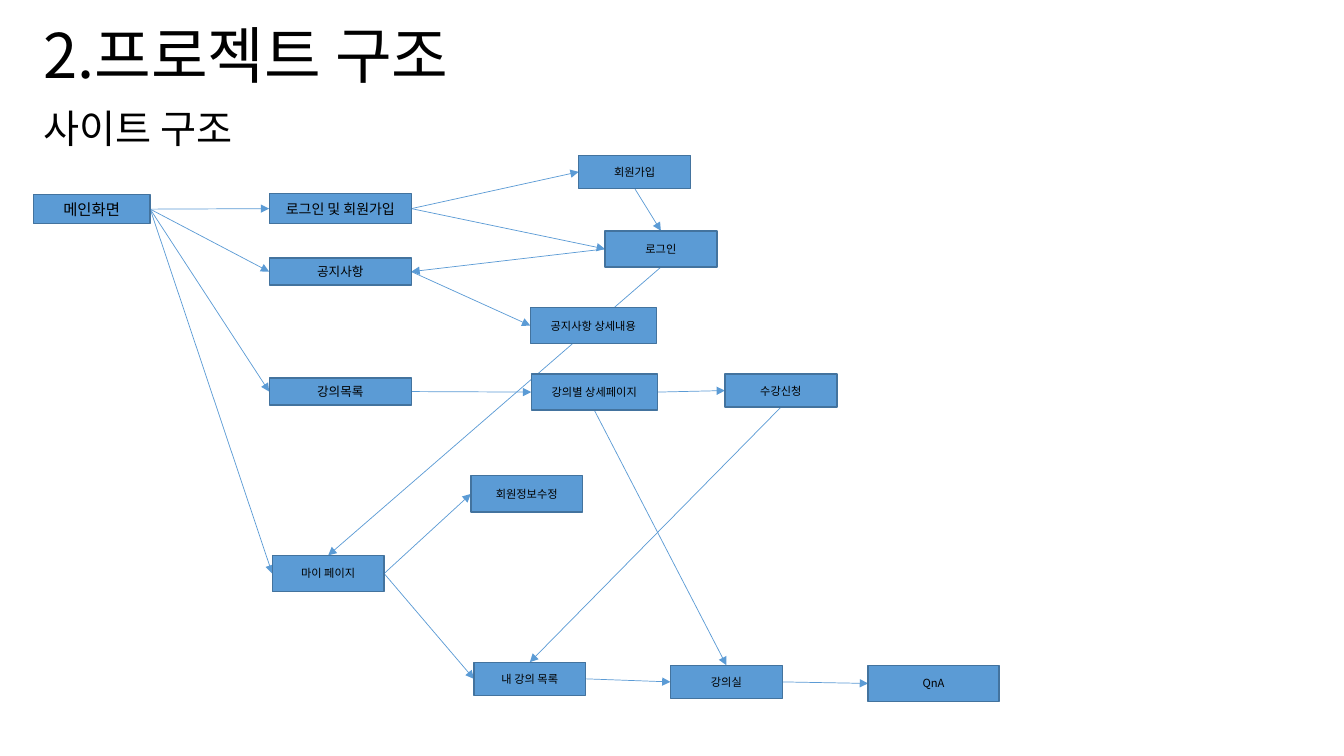
"""Build the site structure slide of a project deck."""
from dataclasses import dataclass
from enum import IntEnum

from lxml.etree import SubElement
from pptx import Presentation
from pptx.dml.color import RGBColor
from pptx.enum.shapes import MSO_CONNECTOR as CONN, MSO_SHAPE as SHAPE
from pptx.enum.text import MSO_ANCHOR as ANCHOR, PP_ALIGN as ALIGN
from pptx.oxml.ns import qn
from pptx.shapes.autoshape import Shape
from pptx.slide import Slide
from pptx.util import Inches, Pt


@dataclass(frozen=True)
class Theme:
    font: str = "Noto Sans CJK KR"
    text: RGBColor = RGBColor(0x00, 0x00, 0x00)
    fill: RGBColor = RGBColor(0x5B, 0x9B, 0xD5)
    border: RGBColor = RGBColor(0x43, 0x73, 0x9E)
    title: int = 44
    subtitle: int = 28
    root: int = 11
    login_menu: int = 10
    menu: int = 9
    page: int = 8
    border_width: float = 1
    link_width: float = 0.5


class Side(IntEnum):
    TOP = 0
    LEFT = 1
    BOTTOM = 2
    RIGHT = 3


@dataclass(frozen=True)
class Node:
    label: str
    left: float
    top: float
    width: float = 1.11
    height: float = 0.36
    size: int = Theme.page


@dataclass(frozen=True)
class Link:
    source: str
    target: str
    start: Side = Side.RIGHT
    end: Side = Side.LEFT


THEME = Theme()

NODES = [
    Node("메인화면", 0.33, 1.93, 1.16, 0.29, THEME.root),
    Node("로그인 및 회원가입", 2.67, 1.92, 1.41, 0.3, THEME.login_menu),
    Node("공지사항", 2.67, 2.56, 1.41, 0.27, THEME.menu),
    Node("강의목록", 2.67, 3.75, 1.41, 0.27, THEME.menu),
    Node("마이 페이지", 2.7, 5.51),
    Node("회원가입", 5.74, 1.54, height=0.33),
    Node("로그인", 6, 2.29),
    Node("공지사항 상세내용", 5.26, 3.05, 1.25),
    Node("강의별 상세페이지", 5.27, 3.71, 1.25),
    Node("수강신청", 7.19, 3.71, height=0.33),
    Node("회원정보수정", 4.67, 4.72),
    Node("내 강의 목록", 4.7, 6.57, height=0.33),
    Node("강의실", 6.65, 6.6, height=0.33),
    Node("QnA", 8.61, 6.6, 1.3),
]

LINKS = [
    Link("메인화면", "로그인 및 회원가입"),
    Link("메인화면", "공지사항"),
    Link("메인화면", "강의목록"),
    Link("메인화면", "마이 페이지"),
    Link("로그인 및 회원가입", "회원가입"),
    Link("로그인 및 회원가입", "로그인"),
    Link("회원가입", "로그인", Side.BOTTOM, Side.TOP),
    Link("로그인", "공지사항", Side.LEFT, Side.RIGHT),
    Link("로그인", "마이 페이지", Side.BOTTOM, Side.TOP),
    Link("공지사항", "공지사항 상세내용"),
    Link("강의목록", "강의별 상세페이지"),
    Link("강의별 상세페이지", "수강신청"),
    Link("강의별 상세페이지", "강의실", Side.BOTTOM, Side.TOP),
    Link("수강신청", "내 강의 목록", Side.BOTTOM, Side.TOP),
    Link("마이 페이지", "회원정보수정"),
    Link("마이 페이지", "내 강의 목록"),
    Link("내 강의 목록", "강의실"),
    Link("강의실", "QnA"),
]


def write(sp: Shape, text: str, size: int, align: ALIGN, anchor: ANCHOR) -> None:
    """Put one styled run into a shape."""
    tf = sp.text_frame
    tf.word_wrap = True
    tf.vertical_anchor = anchor
    p = tf.paragraphs[0]
    p.alignment = align
    r = p.add_run()
    r.text = text
    r.font.size = Pt(size)
    r.font.name = THEME.font
    r.font.color.rgb = THEME.text
    SubElement(r.font._element, qn("a:ea")).set("typeface", THEME.font)


def add_heading(s: Slide, text: str, box: tuple[float, ...], size: int,
                anchor: ANCHOR, space_before: float = 0) -> None:
    """Add a left-aligned heading."""
    sp = s.shapes.add_textbox(*map(Inches, box))
    write(sp, text, size, ALIGN.LEFT, anchor)
    p = sp.text_frame.paragraphs[0]
    p.line_spacing = 0.9
    p.space_before = Pt(space_before)


def add_node(s: Slide, node: Node) -> Shape:
    """Add a labelled page box."""
    box = map(Inches, (node.left, node.top, node.width, node.height))
    sp = s.shapes.add_shape(SHAPE.RECTANGLE, *box)
    sp.shadow.inherit = False
    sp.fill.solid()
    sp.fill.fore_color.rgb = THEME.fill
    sp.line.color.rgb = THEME.border
    sp.line.width = Pt(THEME.border_width)
    write(sp, node.label, node.size, ALIGN.CENTER, ANCHOR.MIDDLE)
    return sp


def add_link(s: Slide, link: Link, boxes: dict[str, Shape]) -> None:
    """Join two boxes with an arrow that runs behind them."""
    c = s.shapes.add_connector(CONN.STRAIGHT, 0, 0, 0, 0)
    c.begin_connect(boxes[link.source], link.start)
    c.end_connect(boxes[link.target], link.end)
    c.line.color.rgb = THEME.fill
    c.line.width = Pt(THEME.link_width)
    SubElement(c.line._get_or_add_ln(), qn("a:tailEnd")).set("type", "triangle")
    SubElement(c._element.spPr, qn("a:effectLst"))
    s.shapes._spTree.insert(2, c._element)


def main() -> None:
    """Draw the slide and save it."""
    prs = Presentation()
    prs.slide_width, prs.slide_height = Inches(13.33), Inches(7.5)
    s = prs.slides.add_slide(prs.slide_layouts[6])
    add_heading(s, "2.프로젝트 구조", (0.33, 0.1, 11.5, 0.97), THEME.title, ANCHOR.MIDDLE)
    add_heading(s, "사이트 구조", (0.33, 1.04, 2.92, 0.6), THEME.subtitle, ANCHOR.TOP, 10)
    boxes = {node.label: add_node(s, node) for node in NODES}
    for link in LINKS:
        add_link(s, link, boxes)
    prs.save("out.pptx")


if __name__ == "__main__":
    main()
